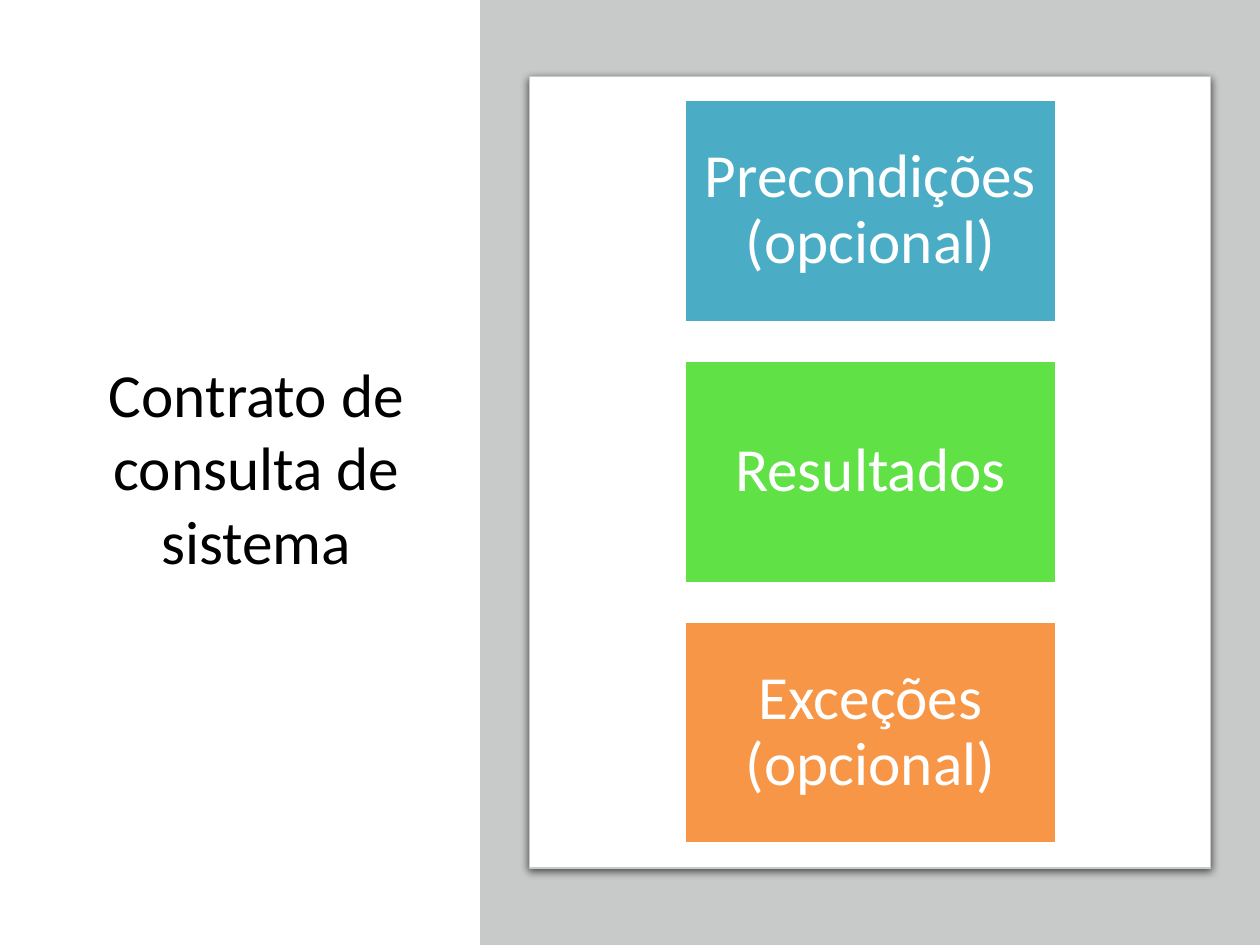
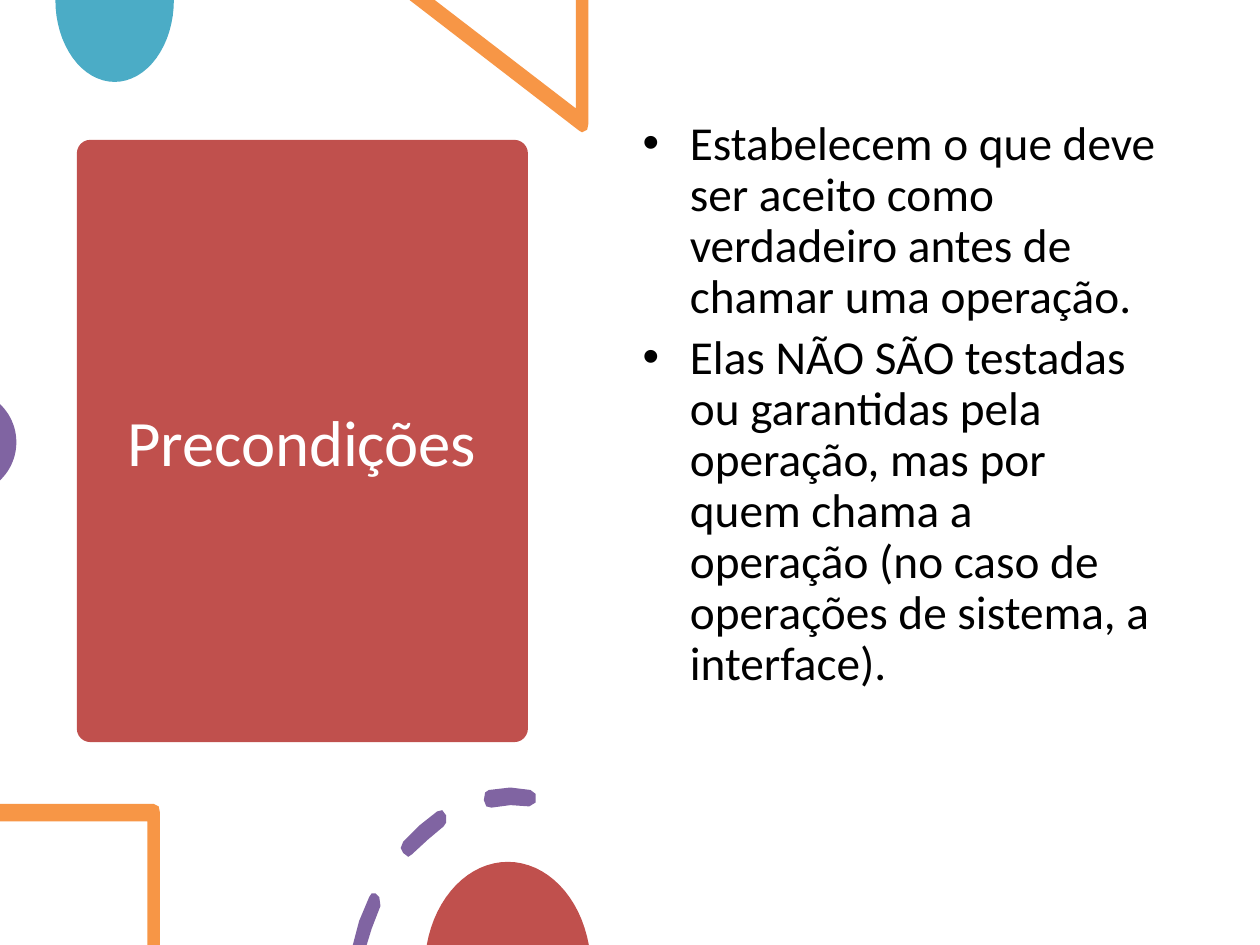
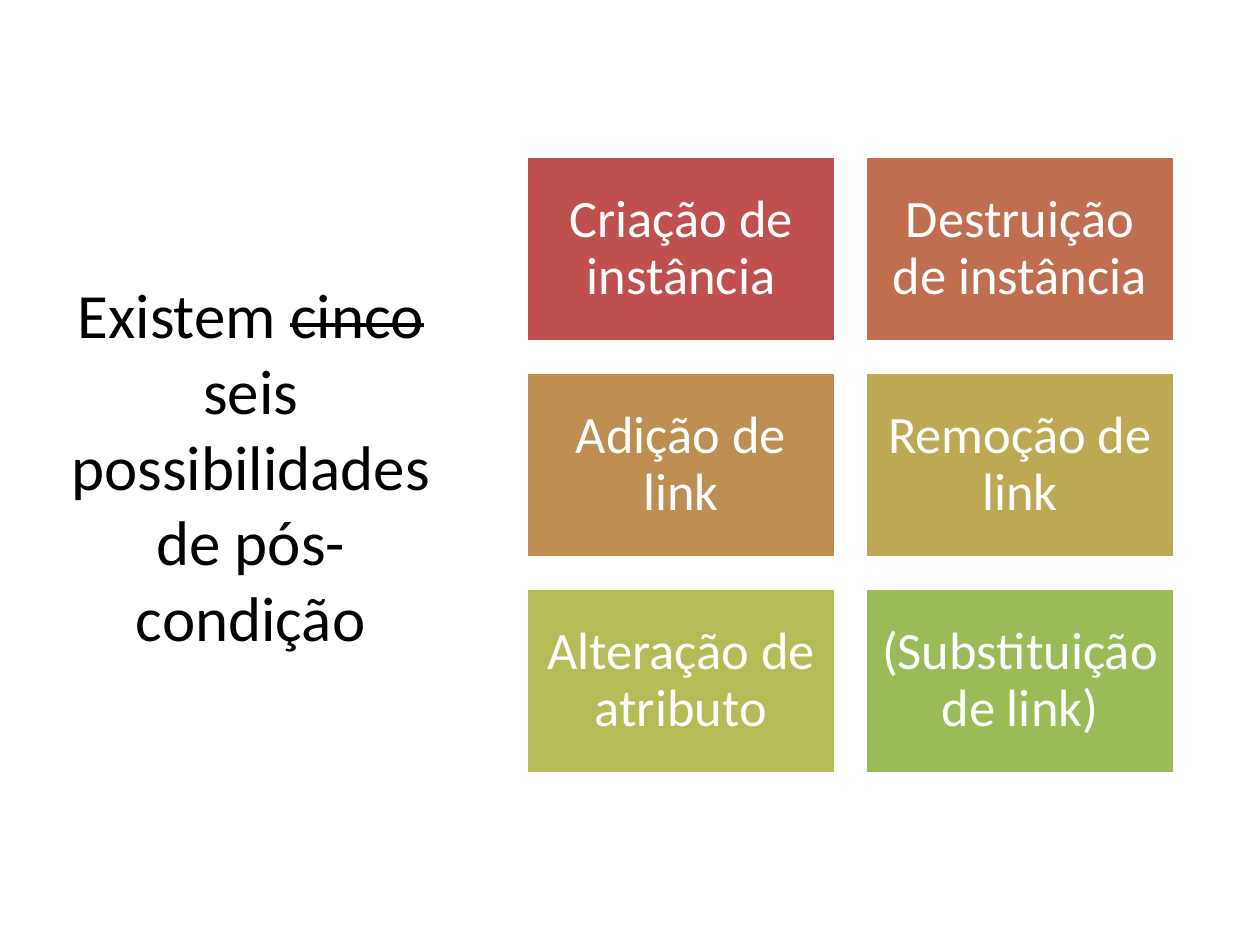
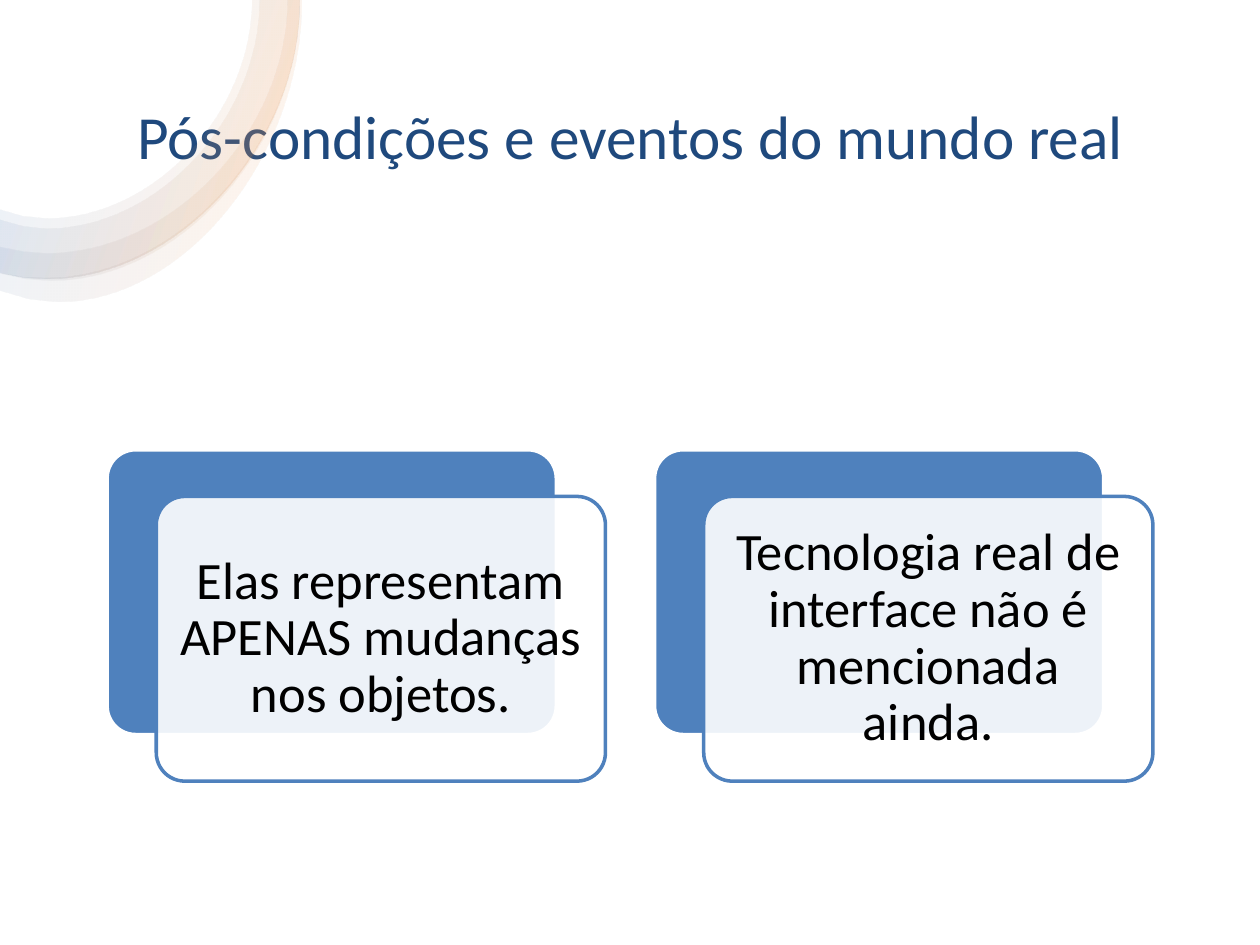
import dataclasses
import math

import lxml.etree
import pptx
import pptx.dml.color
import pptx.enum.shapes
import pptx.enum.text
import pptx.oxml
import pptx.oxml.ns
import pptx.util

SHAPE = pptx.enum.shapes.MSO_SHAPE
ALIGN = pptx.enum.text.PP_ALIGN
ANCHOR = pptx.enum.text.MSO_ANCHOR
qn = pptx.oxml.ns.qn


@dataclasses.dataclass(frozen=True)
class Theme:
    """Colours, font and type sizes shared by the slides."""
    font: str = "Calibri"
    black: str = "000000"
    white: str = "FFFFFF"
    grey: str = "C8CACA"
    navy: str = "1F497D"
    blue: str = "4F81BD"
    teal: str = "4BACC6"
    lime: str = "60E146"
    orange: str = "F79646"
    red: str = "C0504D"
    purple: str = "8064A2"
    ramp: tuple = ("C0504D", "BF6F4F", "BE8D52", "BDA954", "B5BC57", "9BBB59")
    title: int = 35
    title_mid: int = 36
    title_big: int = 37
    tile_big: int = 35
    tile: int = 30
    body: int = 27
    border: float = 2


T = Theme()


@dataclasses.dataclass(frozen=True)
class Box:
    """A region measured in columns and rows of the slide's 10 by 7.5 grid."""
    x: float
    y: float
    w: float
    h: float

    def area(self, x, y, w, h):
        """Return a region placed from this box's top left corner."""
        return Box(self.x + x, self.y + y, w, h)

    def grid(self, cols, rows, gap):
        """Return equal cells, row by row, with equal gaps."""
        w = (self.w - gap * (cols - 1)) / cols
        h = (self.h - gap * (rows - 1)) / rows
        return [self.area(c * (w + gap), r * (h + gap), w, h)
                for r in range(rows) for c in range(cols)]

    def emu(self):
        """Return left, top, width and height as lengths."""
        return [pptx.util.Inches(v) for v in (self.x, self.y, self.w, self.h)]


PAGE = Box(0, 0, 10, 7.5)


def rgb(color):
    """Turn a hex string into a colour."""
    return pptx.dml.color.RGBColor.from_string(color)


def style_runs(p, size, color):
    """Format every run of a paragraph."""
    for r in p.runs:
        r.font.size = pptx.util.Pt(size)
        r.font.name = T.font
        r.font.color.rgb = rgb(color)


def paint(sp, fill, line=None, width=T.border):
    """Give a shape a flat fill and an optional outline."""
    sp.shadow.inherit = False
    sp.fill.solid()
    sp.fill.fore_color.rgb = rgb(fill)
    if line:
        sp.line.color.rgb = rgb(line)
        sp.line.width = pptx.util.Pt(width)
    else:
        sp.line.fill.background()


def add_block(shapes, box, fill, line=None, width=T.border, radius=None):
    """Add a rectangle, rounded when a radius is given."""
    kind = SHAPE.RECTANGLE if radius is None else SHAPE.ROUNDED_RECTANGLE
    sp = shapes.add_shape(kind, *box.emu())
    if radius is not None:
        sp.adjustments[0] = radius
    paint(sp, fill, line, width)
    return sp


def write(sp, text, size, color, inset):
    """Set centred text in a shape."""
    tf = sp.text_frame
    tf.word_wrap = True
    tf.vertical_anchor = ANCHOR.MIDDLE
    tf.margin_left = tf.margin_right = pptx.util.Inches(inset)
    tf.margin_top = tf.margin_bottom = pptx.util.Inches(inset)
    tf.text = text
    p = tf.paragraphs[0]
    p.alignment = ALIGN.CENTER
    p.line_spacing = 0.9
    style_runs(p, size, color)


def place(slide, sp, box):
    """Move a placeholder into a box and in front of earlier shapes."""
    sp.left, sp.top, sp.width, sp.height = box.emu()
    slide.shapes._spTree.append(sp._element)
    tf = sp.text_frame
    tf.word_wrap = True
    tf.auto_size = pptx.enum.text.MSO_AUTO_SIZE.NONE
    return tf


def add_title(slide, box, pieces, size=T.title, color=T.black):
    """Fill the title from (text, struck) pieces."""
    tf = place(slide, slide.shapes.title, box)
    tf.vertical_anchor = ANCHOR.MIDDLE
    p = tf.paragraphs[0]
    p.alignment = ALIGN.CENTER
    for text, struck in pieces:
        r = p.add_run()
        r.text = text
        if struck:
            r.font._element.set("strike", "sngStrike")
    style_runs(p, size, color)


def add_body(slide, box, items):
    """Fill the body placeholder with a bulleted list."""
    tf = place(slide, slide.placeholders[1], box)
    tf.text = "\n".join(items)
    for i, p in enumerate(tf.paragraphs):
        p.line_spacing = 0.9
        p.space_before = pptx.util.Pt(T.body * 0.2 if i else 0)
        style_runs(p, T.body, T.black)


def add_tiles(slide, box, cols, gap, tiles, size, inset):
    """Lay out coloured text tiles on a grid."""
    shapes = slide.shapes.add_group_shape().shapes
    cells = box.grid(cols, len(tiles) // cols, gap)
    for cell, (text, fill) in zip(cells, tiles):
        write(add_block(shapes, cell, fill, T.white), text, size, T.white, inset)


def add_outline(shapes, box, fill, *contours):
    """Draw closed contours given in columns and rows of a box."""
    outlines = [[(pptx.util.Inches(box.x + x), pptx.util.Inches(box.y + y))
                 for x, y in pts] for pts in contours]
    fb = shapes.build_freeform(*outlines[0][0])
    for i, pts in enumerate(outlines):
        if i:
            fb.move_to(*pts[0])
        fb.add_line_segments(pts[1:], close=True)
    sp = fb.convert_to_shape()
    paint(sp, fill)
    return sp


def arc(cx, cy, rx, ry, start, end, steps=32):
    """Return points along an ellipse between two angles in degrees."""
    angles = [math.radians(start + (end - start) * i / steps)
              for i in range(steps + 1)]
    return [(cx + rx * math.cos(a), cy + ry * math.sin(a)) for a in angles]


def add_shadow(sp, blur, dist, alpha):
    """Give a shape a soft black shadow below it."""
    fx = sp._element.spPr.find(qn("a:effectLst"))
    sh = lxml.etree.SubElement(fx, qn("a:outerShdw"), blurRad=str(int(pptx.util.Pt(blur))),
                               dist=str(int(pptx.util.Pt(dist))), dir="5400000")
    clr = lxml.etree.SubElement(sh, qn("a:srgbClr"), val=T.black)
    lxml.etree.SubElement(clr, qn("a:alpha"), val=str(alpha * 1000))


def set_alpha(sp, alpha):
    """Set the opacity of a solid fill in percent."""
    clr = sp._element.spPr.find(qn("a:solidFill"))[0]
    lxml.etree.SubElement(clr, qn("a:alpha"), val=str(alpha * 1000))


def set_glaze(sp):
    """Replace a solid fill by a faint gradient."""
    solid = sp._element.spPr.find(qn("a:solidFill"))
    grad = pptx.oxml.parse_xml(
        '<a:gradFill xmlns:a="http://schemas.openxmlformats.org/drawingml/2006/main">'
        '<a:gsLst/><a:lin ang="12000000" scaled="0"/></a:gradFill>')
    for pos, color in ((2, T.white), (16, T.orange), (85, T.blue), (100, T.white)):
        gs = lxml.etree.SubElement(grad[0], qn("a:gs"), pos=str(pos * 1000))
        clr = lxml.etree.SubElement(gs, qn("a:srgbClr"), val=color)
        lxml.etree.SubElement(clr, qn("a:alpha"), val="10000")
    solid.getparent().replace(solid, grad)


def sweep(right, bottom, left, cx, steps=32):
    """Return a curve from the top edge down to the left edge."""
    k = 0.52
    ctrl = ((right, 0), (right, k * bottom), (cx + k * (right - cx), bottom), (cx, bottom))
    pts = []
    for i in range(steps + 1):
        t = i / steps
        weights = ((1 - t) ** 3, 3 * t * (1 - t) ** 2, 3 * t * t * (1 - t), t ** 3)
        pts.append(tuple(sum(w * c[axis] for w, c in zip(weights, ctrl))
                         for axis in (0, 1)))
    return pts + [(cx / 2, bottom - (bottom - left) / 4), (0, left)]


def add_rings(slide, box):
    """Overlay the translucent rings in the corner."""
    shapes = slide.shapes.add_group_shape().shapes
    outer = (2.38, 2.21, 2.16, 0.37)
    bands = ((outer, (2, 1.73, 1.66, 0.37)),
             (outer, (2.06, 1.81, 1.74, 0.37)),
             ((2.38, 2.23, 2.17, 0.4), (2.28, 2.01, 1.96, 0.37)),
             ((2.39, 2.39, 2.3, 0.46), (2.37, 2.2, 2.16, 0.35)))
    for far, near in bands:
        set_glaze(add_outline(shapes, box, T.white, sweep(*far) + sweep(*near)[::-1]))


def add_top_decor(slide, box):
    """Draw the ornaments along the top and left edges."""
    add_outline(slide.shapes, box, T.teal, arc(0.91, 0, 0.47, 0.65, 0, 180))
    add_outline(slide.shapes, box, T.orange, [
        (3.25, 0), (3.45, 0), (4.57, 0.86), (4.57, 0), (4.67, 0),
        (4.67, 0.98), (4.66, 1.03), (4.62, 1.05), (4.6, 1.04)])
    add_outline(slide.shapes, box, T.purple, arc(-0.27, 3.51, 0.4, 0.41, -47.5, 47.5))


def add_bottom_decor(slide, box):
    """Draw the ornaments along the bottom edge."""
    add_outline(slide.shapes, box, T.orange, [
        (0, 0.13), (1.22, 0.13), (1.26, 0.15), (1.27, 0.2), (1.27, 1.25),
        (1.17, 1.25), (1.17, 0.27), (0, 0.27)])
    add_outline(
        slide.shapes, box, T.purple,
        [(2.8, 1.25), (2.85, 1.06), (2.93, 0.87), (2.95, 0.84), (2.98, 0.84),
         (3.01, 0.87), (3.02, 0.94), (2.95, 1.12), (2.91, 1.25)],
        [(3.2, 0.43), (3.33, 0.3), (3.47, 0.19), (3.51, 0.18), (3.54, 0.22),
         (3.54, 0.28), (3.52, 0.31), (3.4, 0.41), (3.27, 0.53), (3.24, 0.55),
         (3.2, 0.52), (3.18, 0.48)],
        [(3.88, 0.02), (4.05, 0), (4.21, 0.02), (4.25, 0.05), (4.25, 0.12),
         (4.2, 0.15), (4.05, 0.14), (3.9, 0.16), (3.86, 0.15), (3.84, 0.1),
         (3.85, 0.04)])
    add_outline(slide.shapes, box, T.red, arc(4.03, 1.44, 0.66, 0.85, -167, -13))


def add_card(shapes, box, text):
    """Stack a translucent text card on a blue one, offset inside the box."""
    dx, dy = 0.39, 0.37
    w, h = box.w - dx, box.h - dy
    add_block(shapes, box.area(0, 0, w, h), T.blue, T.white, radius=0.1)
    front = add_block(shapes, box.area(dx, dy, w, h), T.white, T.blue, radius=0.1)
    set_alpha(front, 90)
    write(front, text, T.tile, T.black, 0.12)


def contract_slide(slide, box):
    """Show the three sections of a query contract."""
    add_title(slide, box.area(0.53, 0.69, 3.01, 6.02),
              [("Contrato de consulta de sistema", False)])
    add_block(slide.shapes, box.area(3.81, 0, 6.19, 7.5), T.grey)
    panel = box.area(4.2, 0.61, 5.41, 6.28)
    add_shadow(add_block(slide.shapes, panel, T.white, T.grey, 0.75, radius=0), 4.5, 1.5, 63)
    add_tiles(slide, panel.area(1.23, 0.18, 2.96, 5.91), 1, 0.3,
              [("Precondições (opcional)", T.teal), ("Resultados", T.lime),
               ("Exceções (opcional)", T.orange)], T.tile_big, 0.15)


def preconditions_slide(slide, box):
    """Explain preconditions beside a red title card."""
    card = box.area(0.61, 1.11, 3.58, 4.78)
    add_block(slide.shapes, card, T.red, radius=0.03)
    add_title(slide, card.area(0.17, 0.11, 3.23, 4.56), [("Precondições", False)],
              T.title_big, T.white)
    add_top_decor(slide, box)
    add_body(slide, box.area(5, 0.9, 4.31, 5.35), [
        "Estabelecem o que deve ser aceito como verdadeiro antes de chamar uma operação.",
        "Elas NÃO SÃO testadas ou garantidas pela operação, mas por quem chama a "
        "operação (no caso de operações de sistema, a interface)."])
    add_bottom_decor(slide, box.area(0, 6.25, 4.67, 1.25))


def possibilities_slide(slide, box):
    """List the kinds of postcondition as a grid of tiles."""
    add_title(slide, box.area(0.43, 0.68, 3.12, 6.02),
              [("Existem ", False), ("cinco ", True),
               ("seis possibilidades de pós-condição", False)], T.title_mid)
    names = ("Criação de instância", "Destruição de instância", "Adição de link",
             "Remoção de link", "Alteração de atributo", "(Substituição de link)")
    add_tiles(slide, box.area(4.18, 1.24, 5.14, 4.9), 2, 0.24,
              list(zip(names, T.ramp)), T.tile, 0.12)


def events_slide(slide, box):
    """Relate postconditions to real-world events with two cards."""
    add_block(slide.shapes, box, T.white)
    add_title(slide, box.area(0.97, 0.35, 8.07, 1.45),
              [("Pós-condições e eventos do mundo real", False)], color=T.navy)
    add_rings(slide, box)
    shapes = slide.shapes.add_group_shape().shapes
    texts = ("Elas representam APENAS mudanças nos objetos.",
             "Tecnologia real de interface não é mencionada ainda.")
    for cell, text in zip(box.area(0.85, 3.57, 8.3, 2.63).grid(2, 1, 0.39), texts):
        add_card(shapes, cell, text)


def main():
    """Build the deck and save it."""
    prs = pptx.Presentation()
    prs.slide_width, prs.slide_height = PAGE.emu()[2:]
    title_only, title_body = prs.slide_layouts[5], prs.slide_layouts[1]
    for build, layout in ((contract_slide, title_only), (preconditions_slide, title_body),
                          (possibilities_slide, title_only), (events_slide, title_only)):
        build(prs.slides.add_slide(layout), PAGE)
    prs.save("out.pptx")


if __name__ == "__main__":
    main()
